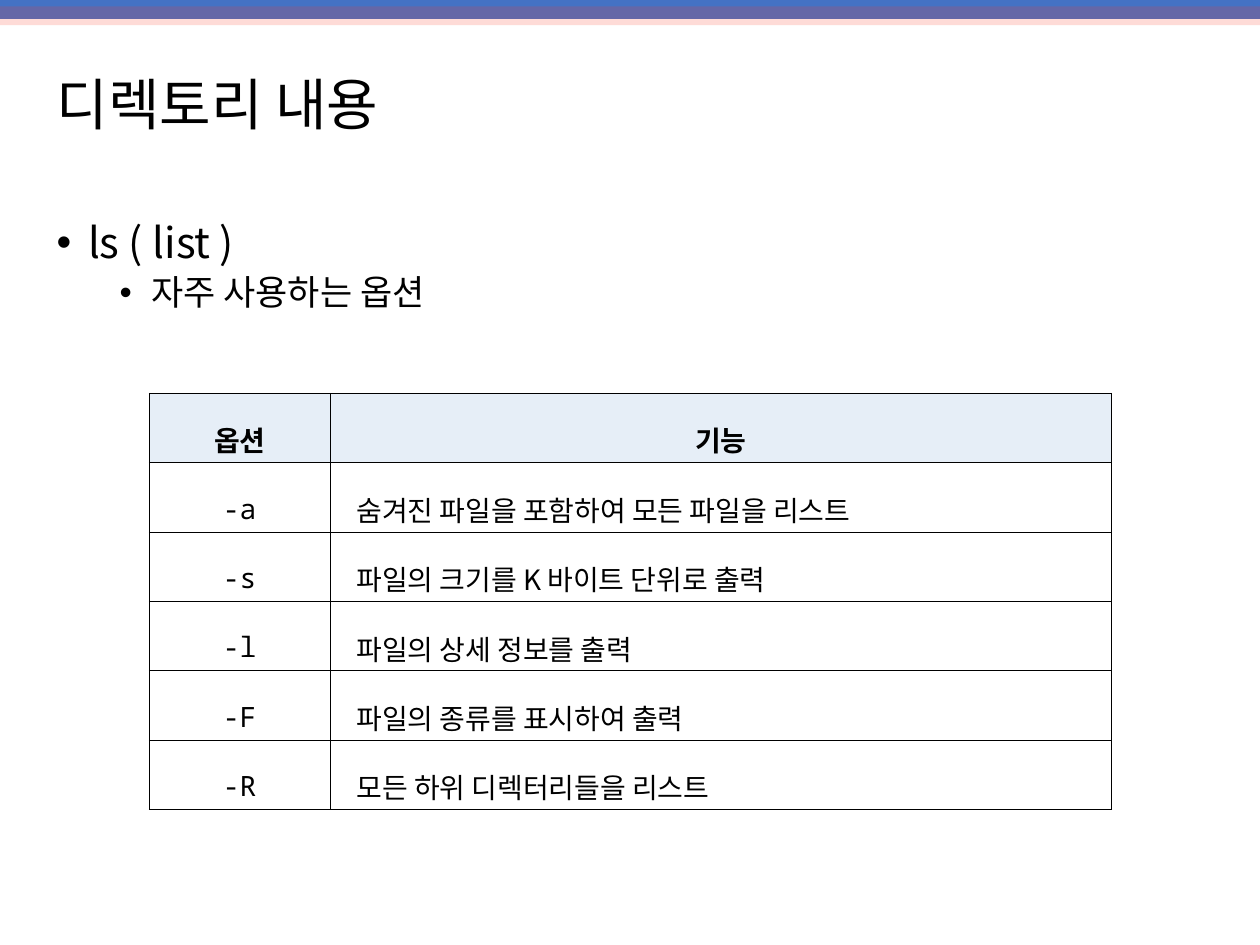
from dataclasses import dataclass

from lxml.etree import SubElement
from pptx import Presentation
from pptx.dml.color import RGBColor
from pptx.enum.shapes import MSO_SHAPE
from pptx.enum.text import MSO_ANCHOR, PP_ALIGN
from pptx.oxml.ns import qn
from pptx.util import Pt


@dataclass(frozen=True)
class Theme:
    """Colours, fonts and type sizes of the slide."""
    ink: str = "000000"
    band_blue: str = "4472C4"
    band_red: str = "FB3925"
    header_fill: str = "E6EEF7"
    sans: str = "Noto Sans CJK KR"
    mono: str = "Noto Sans Mono"
    title: int = 32
    topic: int = 24
    subtopic: int = 20
    cell: int = 16


THEME = Theme()
OPTIONS = [
    ("-a", "숨겨진 파일을 포함하여 모든 파일을 리스트"),
    ("-s", "파일의 크기를 K 바이트 단위로 출력"),
    ("-l", "파일의 상세 정보를 출력"),
    ("-F", "파일의 종류를 표시하여 출력"),
    ("-R", "모든 하위 디렉터리들을 리스트"),
]


def write(paragraph, text, size, font=THEME.sans, bold=False, align=PP_ALIGN.LEFT,
          spacing=0.9, before=0, margin=0, indent=0, bullet=None):
    """Fill a paragraph with one formatted run, without pair kerning."""
    paragraph.alignment = align
    paragraph.line_spacing = spacing
    paragraph.space_before = Pt(before)
    properties = paragraph._p.get_or_add_pPr()
    properties.set("marL", str(Pt(margin)))
    properties.set("indent", str(Pt(indent)))
    if bullet:
        SubElement(properties, qn("a:buFont"), typeface="Arial")
        SubElement(properties, qn("a:buChar"), char=bullet)
    run = paragraph.add_run()
    run.text = text
    run.font.size = Pt(size)
    run.font.bold = bold
    run.font.color.rgb = RGBColor.from_string(THEME.ink)
    run.font.name = font
    run_properties = run._r.get_or_add_rPr()
    run_properties.set("kern", "0")
    SubElement(run_properties, qn("a:ea"), typeface=font)


def add_frame(slide, left, top, width, height):
    """Add a wrapping text box and return its text frame."""
    frame = slide.shapes.add_textbox(Pt(left), Pt(top), Pt(width), Pt(height)).text_frame
    frame.word_wrap = True
    return frame


def add_top_bands(slide, left, top, width, height):
    """Draw two overlapping bands, the upper one translucent."""
    offset = height / 4
    for step, (color, alpha) in enumerate([(THEME.band_blue, 100), (THEME.band_red, 18)]):
        band = slide.shapes.add_shape(MSO_SHAPE.RECTANGLE, Pt(left), Pt(top + step * offset),
                                      Pt(width), Pt(height - offset))
        band.shadow.inherit = False
        band.line.fill.background()
        band.fill.solid()
        band.fill.fore_color.rgb = RGBColor.from_string(color)
        if alpha < 100:
            color_node = band._element.spPr.find(f".//{qn('a:srgbClr')}")
            SubElement(color_node, qn("a:alpha"), val=str(alpha * 1000))


def add_title(slide, left, top, width, height):
    """Place the slide title, centred vertically."""
    frame = add_frame(slide, left, top, width, height)
    frame.vertical_anchor = MSO_ANCHOR.MIDDLE
    write(frame.paragraphs[0], "디렉토리 내용", THEME.title)


def add_topics(slide, left, top, width, height):
    """Place the command and its bulleted subtopic."""
    frame = add_frame(slide, left, top, width, height)
    write(frame.paragraphs[0], "ls ( list )", THEME.topic, spacing=1.5,
          margin=18, indent=-18, bullet="•")
    subtopic = frame.add_paragraph()
    subtopic.level = 1
    write(subtopic, "자주 사용하는 옵션", THEME.subtopic, before=5,
          margin=54, indent=-18, bullet="•")


def style_cell(cell, fill=None):
    """Set margins, thin borders and fill of a table cell."""
    cell.vertical_anchor = MSO_ANCHOR.MIDDLE
    cell.margin_left = cell.margin_right = Pt(5.1)
    cell.margin_top = cell.margin_bottom = Pt(1.4)
    properties = cell._tc.get_or_add_tcPr()
    for side in ("lnL", "lnR", "lnT", "lnB"):
        border = SubElement(properties, qn(f"a:{side}"), w=str(Pt(0.28)))
        SubElement(SubElement(border, qn("a:solidFill")), qn("a:srgbClr"), val=THEME.ink)
    if fill:
        cell.fill.solid()
        cell.fill.fore_color.rgb = RGBColor.from_string(fill)
    else:
        cell.fill.background()


def add_option_table(slide, left, top, width, row_height):
    """Place the table of options and their functions."""
    row_count = len(OPTIONS) + 1
    table = slide.shapes.add_table(row_count, 2, Pt(left), Pt(top), Pt(width),
                                   Pt(row_height * row_count)).table
    table.first_row = table.horz_banding = False
    option_width = 103.5
    table.columns[0].width = Pt(option_width)
    table.columns[1].width = Pt(width - option_width)
    for column, heading in enumerate(("옵션", "기능")):
        cell = table.cell(0, column)
        style_cell(cell, THEME.header_fill)
        write(cell.text_frame.paragraphs[0], heading, THEME.cell, bold=True,
              align=PP_ALIGN.CENTER, spacing=1.6)
    for row, (option, function) in enumerate(OPTIONS, start=1):
        option_cell, function_cell = table.cell(row, 0), table.cell(row, 1)
        style_cell(option_cell)
        style_cell(function_cell)
        write(option_cell.text_frame.paragraphs[0], option, THEME.cell, font=THEME.mono,
              align=PP_ALIGN.CENTER, spacing=1.6)
        write(function_cell.text_frame.paragraphs[0], function, THEME.cell,
              spacing=1.6, margin=10)


def main():
    """Build the slide and save it."""
    deck = Presentation()
    deck.slide_width, deck.slide_height = Pt(720), Pt(540)
    slide = deck.slides.add_slide(deck.slide_layouts[6])
    add_top_bands(slide, 0, 0, 720, 14.4)
    add_title(slide, 25.2, 28.8, 663, 65.5)
    add_topics(slide, 25.2, 105.8, 663, 381)
    add_option_table(slide, 85.2, 224.6, 550, 39.65)
    deck.save("out.pptx")


if __name__ == "__main__":
    main()
